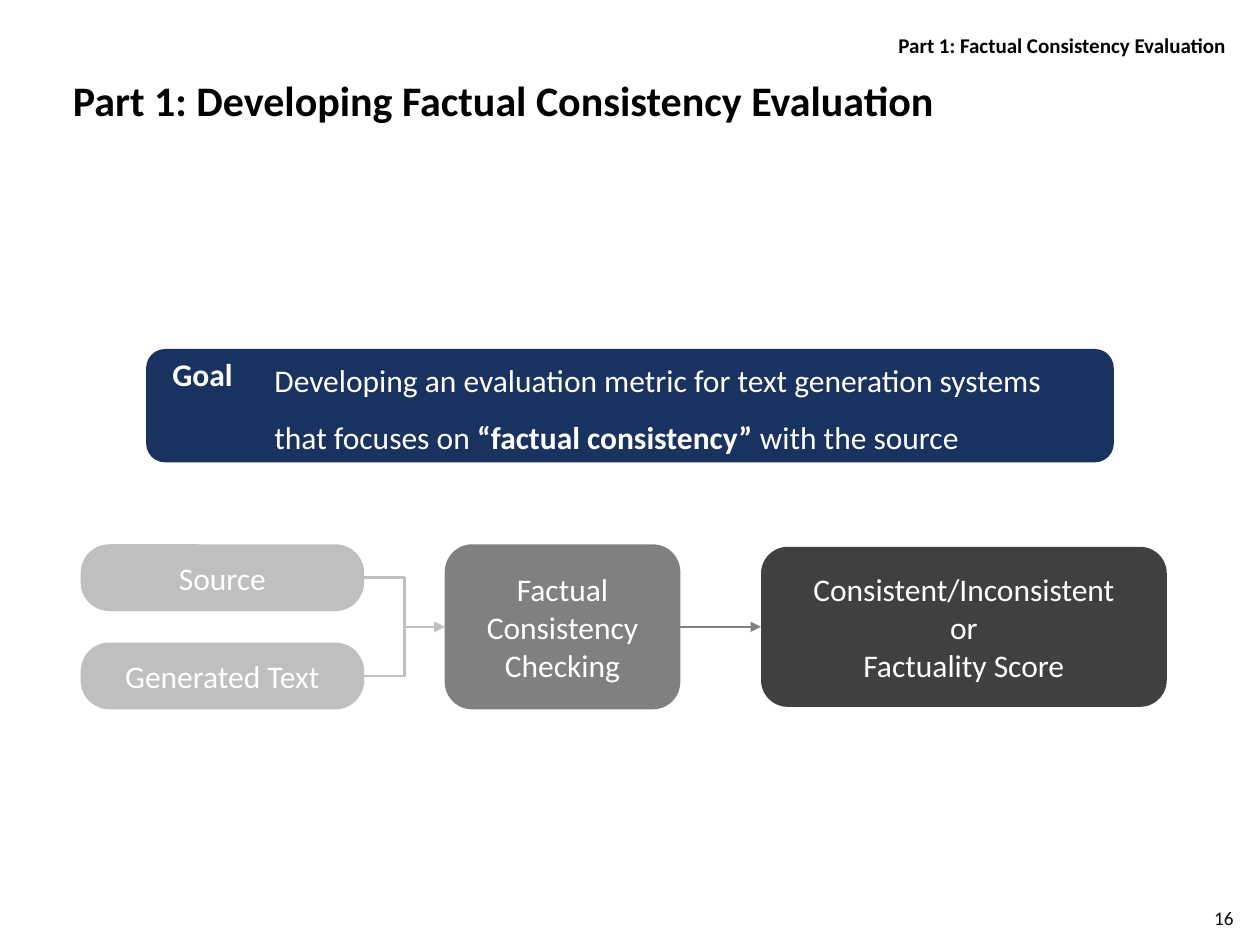
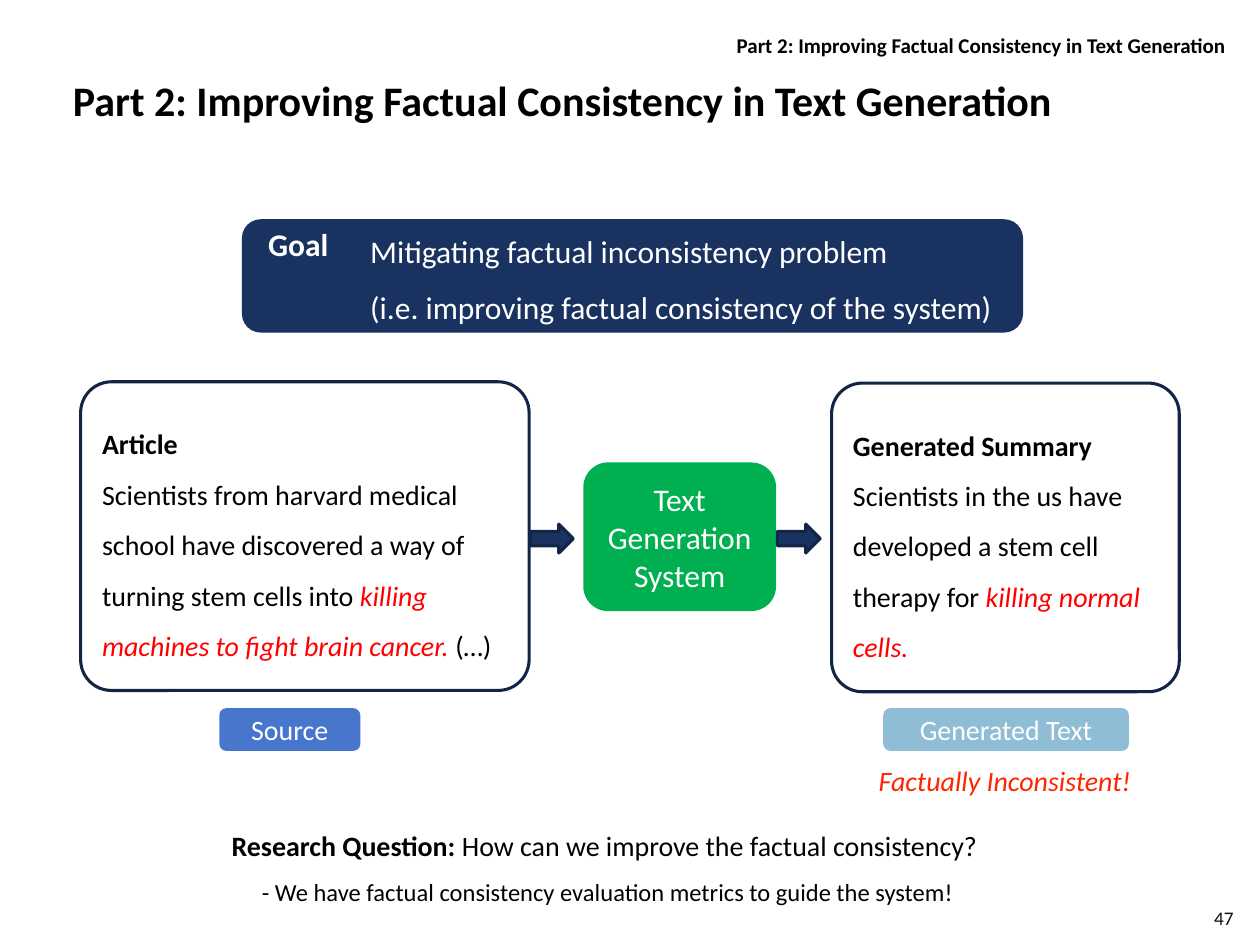
from dataclasses import dataclass
from typing import Optional

from lxml import etree
from pptx import Presentation
from pptx import util as u
from pptx.dml.color import RGBColor
from pptx.enum import shapes, text
from pptx.oxml import ns


@dataclass(frozen=True)
class Theme:
    """Colours, type sizes and line widths shared by all slides."""
    font: str = "Calibri"
    black: str = "000000"
    white: str = "FFFFFF"
    page_ink: str = "0D0D0D"
    navy: str = "1A3260"
    outline: str = "132547"
    light_gray: str = "BFBFBF"
    mid_gray: str = "808080"
    dark_gray: str = "404040"
    green: str = "00B050"
    blue: str = "4876CD"
    sky: str = "8FBDD5"
    red: str = "FF0000"
    alert: str = "FF2500"
    title: int = 24
    body: int = 18
    detail: int = 16
    note: int = 14
    header: int = 12
    page_number: int = 11
    border: float = 1.75
    link: float = 1.5
    loose: float = 1.5


@dataclass(frozen=True)
class Span:
    """A stretch of text with its own emphasis."""
    text: str
    bold: bool = False
    italic: bool = False
    color: Optional[str] = None


THEME = Theme()
COLUMNS, ROWS = 100, 75
LEFT, CENTER, RIGHT = text.PP_ALIGN.LEFT, text.PP_ALIGN.CENTER, text.PP_ALIGN.RIGHT
TOP, MIDDLE = text.MSO_ANCHOR.TOP, text.MSO_ANCHOR.MIDDLE
ROUNDED, ARROW = shapes.MSO_SHAPE.ROUNDED_RECTANGLE, shapes.MSO_SHAPE.RIGHT_ARROW
STRAIGHT, ELBOW = shapes.MSO_CONNECTOR.STRAIGHT, shapes.MSO_CONNECTOR.ELBOW
LEFT_SITE, RIGHT_SITE = 1, 3


class Slides:
    """Draws elements on the current slide, placed in grid columns and rows."""

    def __init__(self, theme):
        self.theme = theme
        self.deck = Presentation()
        self.deck.slide_width, self.deck.slide_height = u.Inches(10), u.Inches(7.5)
        self.page = None

    def place(self, left, top, width, height):
        """Turn grid units into slide lengths."""
        column = self.deck.slide_width / COLUMNS
        row = self.deck.slide_height / ROWS
        return round(left * column), round(top * row), round(width * column), round(height * row)

    def start(self, header, title, number):
        """Open a slide with its header, title and page number."""
        theme = self.theme
        self.page = self.deck.slides.add_slide(self.deck.slide_layouts[6])
        self.label((50, 2.1, 48.3, 3), [[Span(header, bold=True)]], theme.header, align=RIGHT)
        self.label((4.8, 5.4, 90.5, 5.3), [[Span(title, bold=True)]], theme.title)
        self.label((88.5, 71.8, 10.4, 2.1), [[Span(str(number))]], theme.page_number,
                   theme.page_ink, RIGHT, MIDDLE)

    def set_text(self, box, lines, size, color, align, anchor, spacing=None):
        """Fill a box with paragraphs made of spans."""
        frame = box.text_frame
        frame.word_wrap = True
        frame.vertical_anchor = anchor
        for index, spans in enumerate(lines):
            para = frame.paragraphs[0] if index == 0 else frame.add_paragraph()
            para.alignment = align
            if spacing:
                para.line_spacing = spacing
            para.font.name = self.theme.font
            para.font.size = u.Pt(size)
            para.font.color.rgb = RGBColor.from_string(color)
            for span in spans:
                run = para.add_run()
                run.text = span.text
                font = para.font if len(spans) == 1 else run.font
                font.bold, font.italic = span.bold, span.italic
                if span.color:
                    font.color.rgb = RGBColor.from_string(span.color)

    def label(self, area, lines, size, color=THEME.black, align=LEFT, anchor=TOP, spacing=None):
        """Add free text."""
        box = self.page.shapes.add_textbox(*self.place(*area))
        self.set_text(box, lines, size, color, align, anchor, spacing)

    def shape(self, kind, area, fill=None, line=None, corner=None):
        """Add a preset shape with the given fill and border."""
        box = self.page.shapes.add_shape(kind, *self.place(*area))
        box.shadow.inherit = False
        if fill:
            box.fill.solid()
            box.fill.fore_color.rgb = RGBColor.from_string(fill)
        else:
            box.fill.background()
        if line:
            box.line.color.rgb = RGBColor.from_string(line)
            box.line.width = u.Pt(self.theme.border)
        else:
            box.line.fill.background()
        if corner:
            box.adjustments[0] = corner
        return box

    def block(self, area, fill, lines, size=THEME.body, corner=None):
        """Add a filled rounded box with centred white text."""
        box = self.shape(ROUNDED, area, fill, corner=corner)
        spans = [[Span(line)] for line in lines]
        self.set_text(box, spans, size, self.theme.white, CENTER, MIDDLE)
        return box

    def card(self, area, heading, spans):
        """Add an outlined box with a bold heading over a passage."""
        theme = self.theme
        box = self.shape(ROUNDED, area, line=theme.outline, corner=0.1)
        self.set_text(box, [[Span(heading, bold=True)], spans], theme.detail, theme.black,
                      LEFT, MIDDLE, theme.loose)

    def goal(self, left, top, width, text_width, lines):
        """Add the goal banner."""
        theme = self.theme
        self.shape(ROUNDED, (left, top, width, 9), theme.navy)
        self.label((left + 1.1, top, 7.1, 4), [[Span("Goal", bold=True)]], theme.body, theme.white)
        self.label((left + 9.2, top - 1, text_width, 10), lines, theme.body, theme.white,
                   spacing=theme.loose)

    def arrow(self, left, top):
        """Add a block arrow pointing right."""
        self.shape(ARROW, (left, top, 3.4, 2.3), self.theme.navy, self.theme.outline)

    def link(self, kind, source, target, color):
        """Join the right side of one box to the left side of another."""
        connector = self.page.shapes.add_connector(kind, 0, 0, 0, 0)
        connector.begin_connect(source, RIGHT_SITE)
        connector.end_connect(target, LEFT_SITE)
        connector.line.color.rgb = RGBColor.from_string(color)
        connector.line.width = u.Pt(self.theme.link)
        properties = connector._element.spPr
        etree.SubElement(properties.find(ns.qn("a:ln")), ns.qn("a:tailEnd"), type="triangle")
        etree.SubElement(properties, ns.qn("a:effectLst"))


def evaluation(slides):
    """Build the slide on developing the evaluation."""
    theme = slides.theme
    slides.start("Part 1: Factual Consistency Evaluation",
                 "Part 1: Developing Factual Consistency Evaluation", 16)
    slides.goal(11.6, 27.7, 76.8, 64.6, [[
        Span("Developing an evaluation metric for text generation systems that focuses on "),
        Span("“factual consistency”", bold=True),
        Span(" with the source")]])
    inputs = [slides.block((6.4, 43.2 + 7.8 * index, 22.5, 5.3), theme.light_gray, [name],
                           corner=0.43)
              for index, name in enumerate(("Source", "Generated Text"))]
    checking = slides.block((35.3, 43.2, 18.7, 13.1), theme.mid_gray,
                            ["Factual Consistency Checking"])
    verdict = slides.block((60.4, 43.4, 32.2, 12.7), theme.dark_gray,
                           ["Consistent/Inconsistent", "or", "Factuality Score"])
    for box in inputs:
        slides.link(ELBOW, box, checking, theme.light_gray)
    slides.link(STRAIGHT, checking, verdict, theme.mid_gray)


def improvement(slides):
    """Build the slide on improving generation."""
    theme = slides.theme
    title = "Part 2: Improving Factual Consistency in Text Generation"
    slides.start(title, title, 47)
    slides.goal(19.2, 17.4, 62, 52.4, [
        [Span("Mitigating factual inconsistency problem")],
        [Span("(i.e. improving factual consistency of the system)")]])
    slides.card((6.4, 30.3, 35.6, 24.5), "Article", [
        Span("Scientists from harvard medical school have discovered a way of "
             "turning stem cells into "),
        Span("killing machines to fight brain cancer. ", italic=True, color=theme.red),
        Span("(…)")])
    slides.card((66, 30.4, 27.6, 24.5), "Generated Summary", [
        Span("Scientists in the us have developed a stem cell therapy for "),
        Span("killing normal cells.", italic=True, color=theme.red)])
    slides.block((46.3, 36.7, 15.3, 11.8), theme.green, ["Text Generation System"])
    for left in (42.1, 61.7):
        slides.arrow(left, 41.6)
    slides.block((17.4, 56.2, 11.2, 3.4), theme.blue, ["Source"], theme.detail)
    slides.block((70.1, 56.2, 19.5, 3.4), theme.sky, ["Generated Text"], theme.detail)
    slides.label((66.6, 60.1, 26.3, 3.7), [[Span("Factually Inconsistent!", italic=True)]],
                 theme.detail, theme.alert, CENTER)
    slides.label((17.4, 65.3, 78.4, 3.7), [[
        Span("Research Question: ", bold=True),
        Span("How can we improve the factual consistency?")]], theme.detail)
    slides.label((19.8, 69.1, 58.7, 3.4), [[
        Span("- We have factual consistency evaluation metrics to guide the system!")]],
        theme.note)


def main():
    """Build and save the deck."""
    slides = Slides(THEME)
    evaluation(slides)
    improvement(slides)
    slides.deck.save("out.pptx")


if __name__ == "__main__":
    main()
